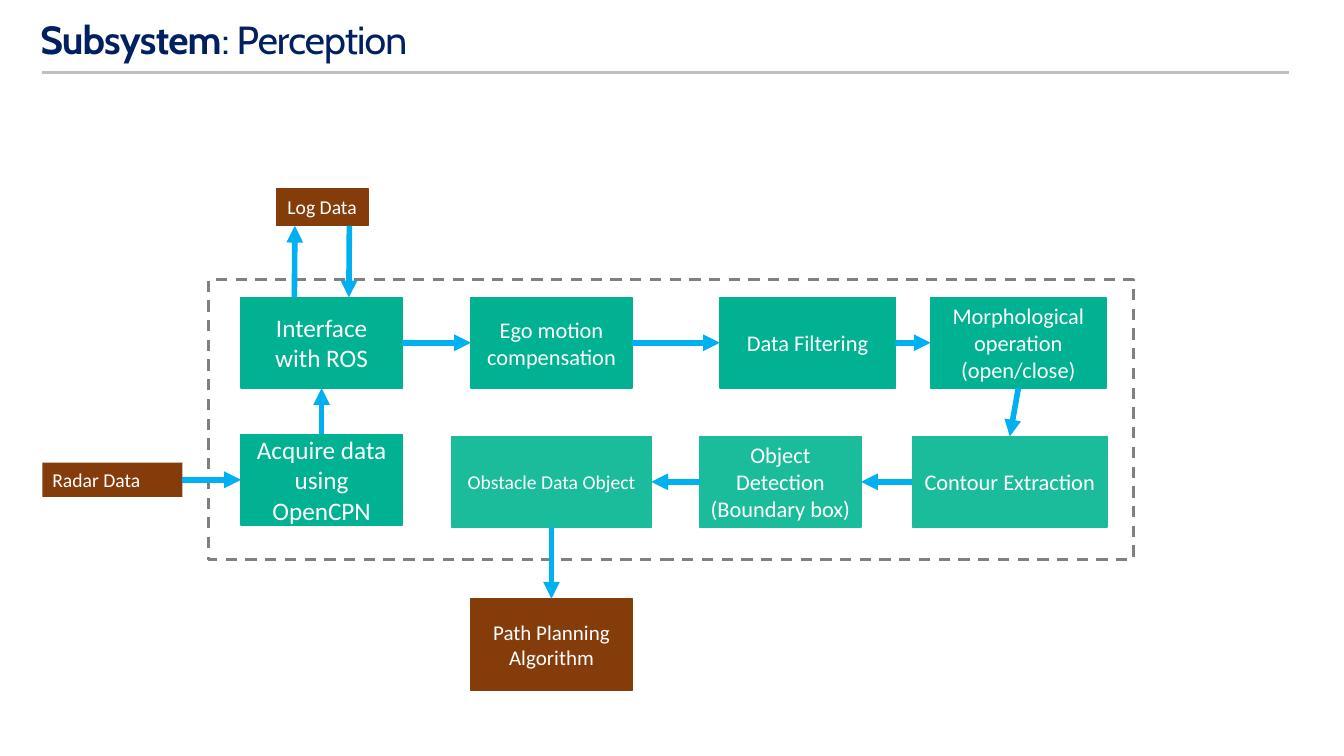
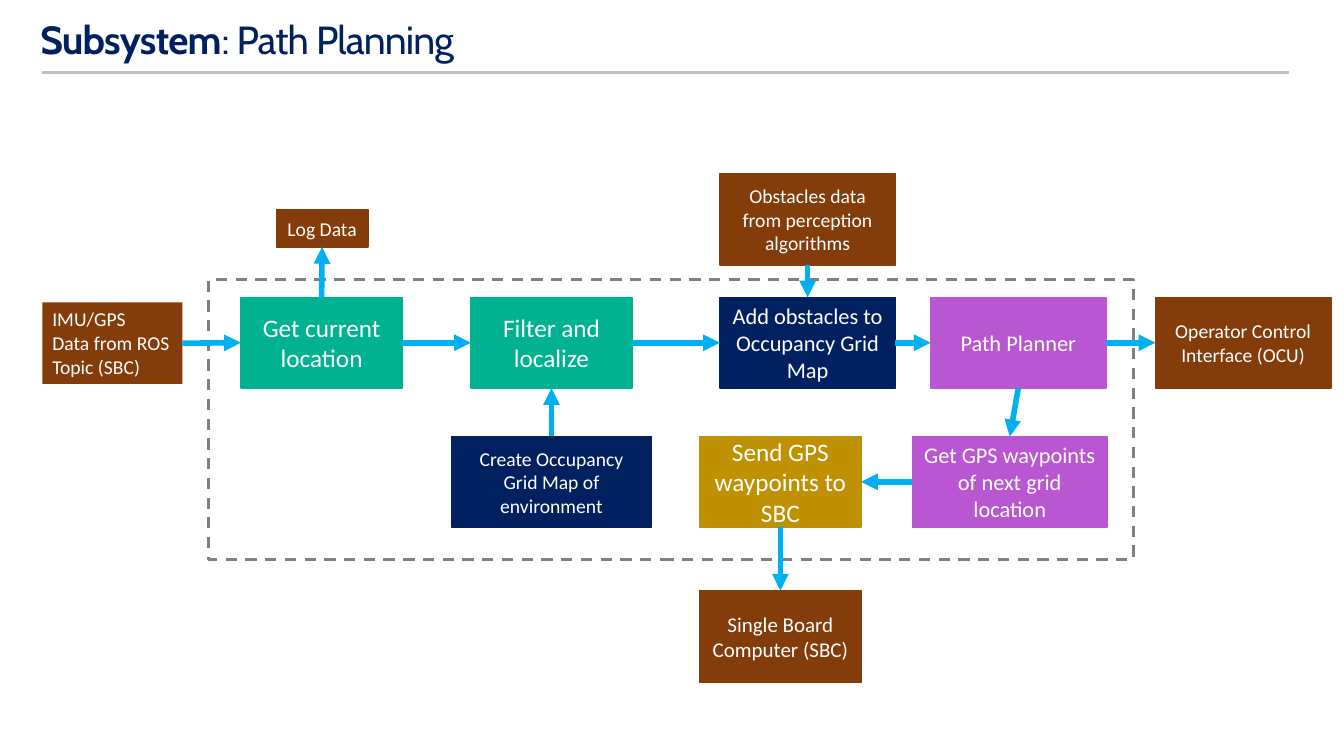
import pptx
import pptx.dml.color
import pptx.enum.dml
import pptx.enum.shapes
import pptx.enum.text
import pptx.oxml.ns
import pptx.util
from lxml import etree

Inches = pptx.util.Inches
Pt = pptx.util.Pt
ALIGN = pptx.enum.text.PP_ALIGN
ANCHOR = pptx.enum.text.MSO_ANCHOR

SLIDE_SIZE = (13.33, 7.5)
COLORS = {
    "navy": "002060", "green": "00B192", "teal": "1BBC9B", "brown": "843C0B",
    "purple": "B957D2", "gold": "BF9000", "white": "FFFFFF",
    "arrow": "00B0F0", "frame": "808080", "rule": "BFBFBF",
}
FRAME = (2.07, 2.77, 9.17, 2.78)
TITLE = (0.05, 0, 11.27, 0.71)
RULE = ((0.42, 0.72), (12.78, 0.72))

# Column name: left, width
COLUMNS = {
    "input": (0.42, 1.39), "first": (2.39, 1.6), "log": (2.74, 0.91),
    "second": (4.67, 1.6), "second wide": (4.48, 1.98),
    "third": (7.14, 1.74), "third low": (6.94, 1.6),
    "fourth": (9.23, 1.74), "fourth low": (9.05, 1.93), "output": (11.46, 1.74),
}
# Row name: top, height
ROWS = {
    "above": (1.72, 0.91), "log": (1.87, 0.37), "log low": (2.08, 0.37),
    "upper": (2.95, 0.9), "lower": (4.33, 0.9), "lower first": (4.31, 0.9),
    "upper input": (3, 0.81), "lower input": (4.59, 0.34),
    "below": (5.86, 0.91), "far below": (5.94, 0.91),
}
# Each box: text, column, row, text size, colour
# Each arrow: from, direction, to, sideways shift
SLIDES = [
    {
        "title": "Perception",
        "boxes": {
            "radar": ("Radar Data", "input", "lower input", 14, "brown"),
            "log": ("Log Data", "log", "log", 14, "brown"),
            "acquire": ("Acquire data using OpenCPN", "first", "lower first", 18, "green"),
            "interface": ("Interface with ROS", "first", "upper", 18, "green"),
            "motion": ("Ego motion compensation", "second", "upper", 16, "green"),
            "filter": ("Data Filtering", "third", "upper", 16, "green"),
            "morphology": ("Morphological operation (open/close)", "fourth", "upper", 16, "green"),
            "contour": ("Contour Extraction", "fourth low", "lower", 16, "teal"),
            "detection": ("Object Detection (Boundary box)", "third low", "lower", 16, "teal"),
            "obstacle": ("Obstacle Data Object", "second wide", "lower", 14, "teal"),
            "planning": ("Path Planning Algorithm", "second", "far below", 15, "brown"),
        },
        "arrows": [
            ("radar", "right", "acquire", 0),
            ("acquire", "up", "interface", 0),
            ("interface", "up", "log", -0.27),
            ("log", "down", "interface", 0.27),
            ("interface", "right", "motion", 0),
            ("motion", "right", "filter", 0),
            ("filter", "right", "morphology", 0),
            ("morphology", "down", "contour", 0),
            ("contour", "left", "detection", 0),
            ("detection", "left", "obstacle", 0),
            ("obstacle", "down", "planning", 0),
        ],
    },
    {
        "title": "Path Planning",
        "boxes": {
            "sensors": ("IMU/GPS\nData from ROS Topic (SBC)", "input", "upper input", 14, "brown"),
            "log": ("Log Data", "log", "log low", 14, "brown"),
            "location": ("Get current location", "first", "upper", 18, "green"),
            "localize": ("Filter and localize", "second", "upper", 18, "green"),
            "create map": ("Create Occupancy Grid Map of environment",
                           "second wide", "lower", 14, "navy"),
            "obstacles": ("Obstacles data from perception algorithms",
                          "third", "above", 14, "brown"),
            "add obstacles": ("Add obstacles to Occupancy Grid Map",
                              "third", "upper", 16, "navy"),
            "planner": ("Path Planner", "fourth", "upper", 16, "purple"),
            "operator": ("Operator Control Interface (OCU)", "output", "upper", 14, "brown"),
            "waypoints": ("Get GPS waypoints of next grid location",
                          "fourth low", "lower", 16, "purple"),
            "send": ("Send GPS waypoints to SBC", "third low", "lower", 18, "gold"),
            "computer": ("Single Board Computer (SBC)", "third low", "below", 15, "brown"),
        },
        "arrows": [
            ("sensors", "right", "location", 0),
            ("location", "up", "log", 0),
            ("location", "right", "localize", 0),
            ("create map", "up", "localize", 0),
            ("localize", "right", "add obstacles", 0),
            ("obstacles", "down", "add obstacles", 0),
            ("add obstacles", "right", "planner", 0),
            ("planner", "right", "operator", 0),
            ("planner", "down", "waypoints", 0),
            ("waypoints", "left", "send", 0),
            ("send", "down", "computer", 0),
        ],
    },
]
# Direction: horizontal step, vertical step, connection site where it leaves
DIRECTIONS = {"up": (0, -1, 0), "left": (-1, 0, 1), "down": (0, 1, 2), "right": (1, 0, 3)}


def rgb(name):
    return pptx.dml.color.RGBColor.from_string(COLORS[name])


def write(shape, text, size, color="white", font="Calibri", align=ALIGN.CENTER,
          anchor=ANCHOR.MIDDLE, margins=(0.1, 0.05, 0.1, 0.05), line_spacing=None,
          bold_lead="", tracking=None):
    """Fill a shape with text, one paragraph a line, after an optional bold lead."""
    frame = shape.text_frame
    frame.word_wrap = True
    frame.vertical_anchor = anchor
    (frame.margin_left, frame.margin_top,
     frame.margin_right, frame.margin_bottom) = map(Inches, margins)
    for index, line in enumerate(text.split("\n")):
        paragraph = frame.add_paragraph() if index else frame.paragraphs[0]
        paragraph.alignment = align
        paragraph.line_spacing = line_spacing
        pieces = [(bold_lead, True)] if bold_lead and not index else []
        for piece, bold in pieces + [(line, False)]:
            run = paragraph.add_run()
            run.text = piece
            run.font.name, run.font.size, run.font.bold = font, Pt(size), bold
            run.font.color.rgb = rgb(color)
            if tracking:
                run.font._element.set("spc", str(round(tracking * 100)))


def add_box(slide, place, fill=None, line=None, width=1):
    shape = slide.shapes.add_shape(
        pptx.enum.shapes.MSO_SHAPE.RECTANGLE, *map(Inches, place))
    shape.shadow.inherit = False
    if fill:
        shape.fill.solid()
        shape.fill.fore_color.rgb = rgb(fill)
    else:
        shape.fill.background()
    if line:
        shape.line.color.rgb = rgb(line)
        shape.line.width = Pt(width)
    else:
        shape.line.fill.background()
    return shape


def add_line(slide, start, end, color, width, arrowhead=False):
    connector = slide.shapes.add_connector(
        pptx.enum.shapes.MSO_CONNECTOR.STRAIGHT, *map(Inches, start + end))
    connector.line.color.rgb = rgb(color)
    connector.line.width = Pt(width)
    properties = connector.element.spPr
    if arrowhead:
        etree.SubElement(properties.get_or_add_ln(), pptx.oxml.ns.qn("a:tailEnd"),
                         type="triangle")
    etree.SubElement(properties, pptx.oxml.ns.qn("a:effectLst"))
    return connector


def edge_point(shape, step_x, step_y, shift):
    """Return the middle of one edge in inches, moved sideways by shift."""
    x = shape.left.inches + shape.width.inches * (1 + step_x) / 2
    y = shape.top.inches + shape.height.inches * (1 + step_y) / 2
    return (x, y + shift) if step_x else (x + shift, y)


def add_arrow(slide, source, direction, target, shift):
    """Join two boxes; arrows without a shift stay glued to them."""
    step_x, step_y, site = DIRECTIONS[direction]
    start = edge_point(source, step_x, step_y, shift)
    end = edge_point(target, -step_x, -step_y, shift)
    connector = add_line(slide, start, end, "arrow", 4, arrowhead=True)
    if not shift:
        connector.begin_connect(source, site)
        connector.end_connect(target, (site + 2) % 4)


def add_title(slide, title):
    box = slide.shapes.add_textbox(*map(Inches, TITLE))
    write(box, f": {title}", 28, color="navy", font="Cabin", align=ALIGN.LEFT,
          margins=(0.35, 0.17, 0.06, 0.06), line_spacing=0.9,
          bold_lead="Subsystem", tracking=-0.6)
    add_line(slide, *RULE, "rule", 1.75)


def add_flow_box(slide, text, column, row, size, color):
    (left, width), (top, height) = COLUMNS[column], ROWS[row]
    is_input = column == "input"
    shape = add_box(slide, (left, top, width, height), color,
                    line=None if is_input else color)
    if is_input:
        write(shape, text, size, align=ALIGN.LEFT, anchor=ANCHOR.TOP)
        shape.text_frame.auto_size = pptx.enum.text.MSO_AUTO_SIZE.SHAPE_TO_FIT_TEXT
    else:
        write(shape, text, size)
    return shape


def main():
    presentation = pptx.Presentation()
    presentation.slide_width, presentation.slide_height = map(Inches, SLIDE_SIZE)
    for content in SLIDES:
        slide = presentation.slides.add_slide(presentation.slide_layouts[6])
        add_title(slide, content["title"])
        frame = add_box(slide, FRAME, line="frame", width=2)
        frame.line.dash_style = pptx.enum.dml.MSO_LINE.DASH
        boxes = {name: add_flow_box(slide, *box)
                 for name, box in content["boxes"].items()}
        for source, direction, target, shift in content["arrows"]:
            add_arrow(slide, boxes[source], direction, boxes[target], shift)
    presentation.save("out.pptx")


if __name__ == "__main__":
    main()
